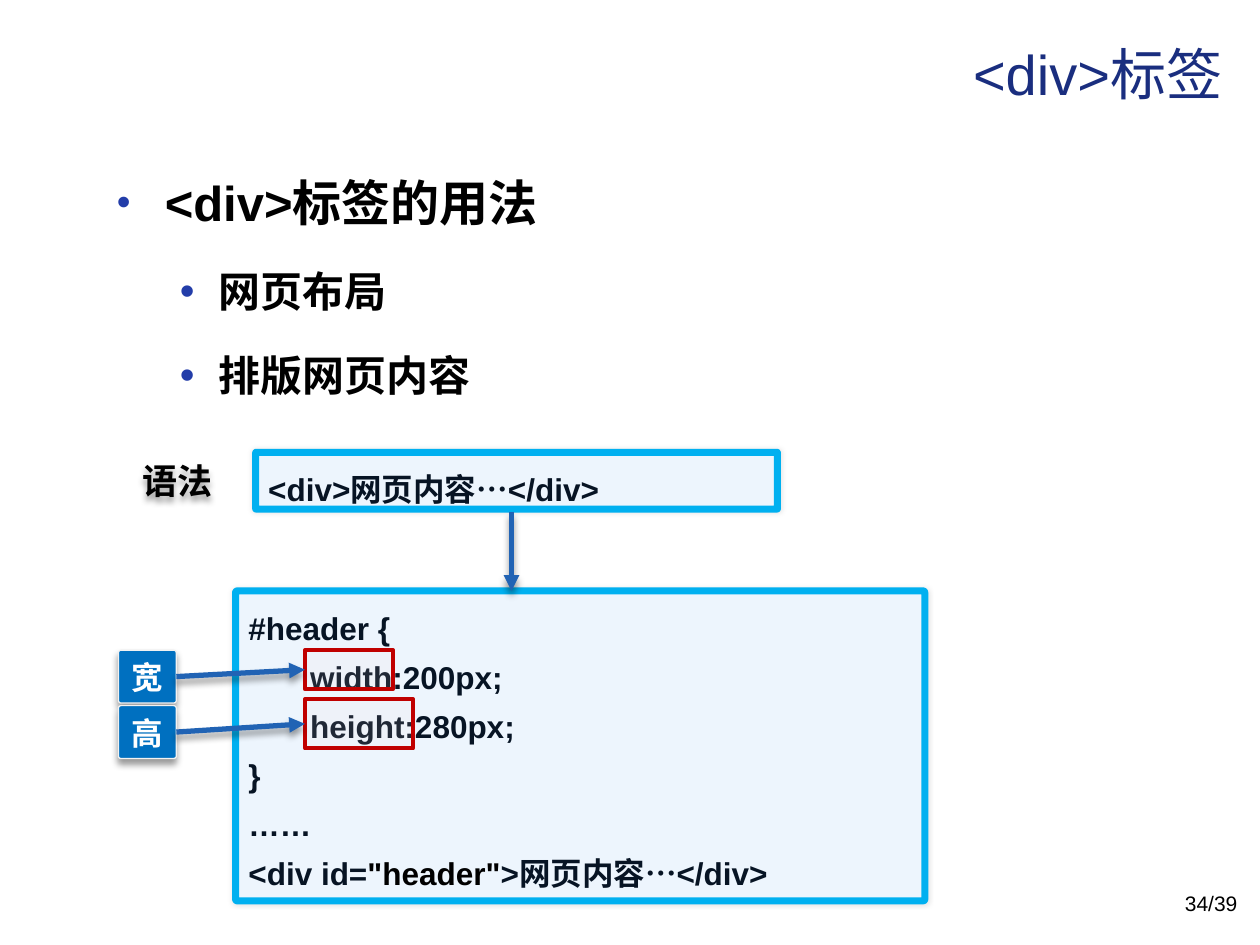
from dataclasses import dataclass

from lxml.etree import SubElement
from pptx import Presentation
from pptx.dml.color import RGBColor
from pptx.enum.shapes import MSO_CONNECTOR, MSO_SHAPE
from pptx.enum.text import MSO_ANCHOR, MSO_AUTO_SIZE, PP_ALIGN
from pptx.oxml.ns import qn
from pptx.util import Inches, Pt

CELL = 0.1  # inches; the slide is a grid of 100 columns by 75 rows


@dataclass(frozen=True)
class Theme:
    font: str = "Arial"
    asian_font: str = "Noto Sans CJK SC"
    title: str = "1A2E7F"
    bullet: str = "233DA9"
    ink: str = "000000"
    code: str = "071424"
    panel: str = "EDF5FD"
    panel_line: str = "00B0F0"
    arrow: str = "2163B4"
    tag: str = "0070C0"
    tag_line: str = "F2F2F2"
    mark: str = "FFDDDD"
    mark_line: str = "C00000"
    white: str = "FFFFFF"
    title_size: float = 32
    topic_size: float = 28
    point_size: float = 24
    label_size: float = 20
    code_size: float = 18
    number_size: float = 12


THEME = Theme()


@dataclass(frozen=True)
class Area:
    """A rectangle in grid cells."""
    left: float
    top: float
    width: float
    height: float

    def inner(self, left, top, width, height):
        return Area(self.left + left, self.top + top, width, height)

    def lengths(self):
        return [cells(n) for n in (self.left, self.top, self.width, self.height)]


def cells(count):
    return Inches(count * CELL)


def colour(code):
    return RGBColor.from_string(code)


def add_child(parent, tag, **attributes):
    return SubElement(parent, qn(tag), {key: str(value) for key, value in attributes.items()})


def add_alpha(fill_element, percent):
    add_child(fill_element.find(".//" + qn("a:srgbClr")), "a:alpha", val=percent * 1000)


def cast_shadow(shape, alpha=40, blur=4, distance=3, angle=90):
    properties = shape._element.spPr
    for old in properties.findall(qn("a:effectLst")):
        properties.remove(old)
    effects = add_child(properties, "a:effectLst")
    shadow = add_child(effects, "a:outerShdw", blurRad=Pt(blur), dist=Pt(distance),
                       dir=angle * 60000, rotWithShape=0)
    add_child(shadow, "a:srgbClr", val=THEME.ink)
    add_alpha(shadow, alpha)


def add_span(para, text, size, ink, bold=True, font=THEME.font):
    span = para.add_run()
    span.text = text
    span.font.name = font
    span.font.size = Pt(size)
    span.font.bold = bold
    span.font.color.rgb = colour(ink)
    add_child(span._r.get_or_add_rPr(), "a:ea", typeface=THEME.asian_font)


def set_frame(shape, anchor=MSO_ANCHOR.TOP, wrap=True):
    frame = shape.text_frame
    frame.auto_size = MSO_AUTO_SIZE.NONE
    frame.word_wrap = wrap
    frame.vertical_anchor = anchor
    return frame


def next_para(frame, index):
    return frame.add_paragraph() if index else frame.paragraphs[0]


def add_text(page, area, text, size, ink, align=PP_ALIGN.LEFT, anchor=MSO_ANCHOR.TOP,
             wrap=True, **style):
    box = page.shapes.add_textbox(*area.lengths())
    para = set_frame(box, anchor, wrap).paragraphs[0]
    para.alignment = align
    add_span(para, text, size, ink, **style)
    return box


def add_block(page, area, kind, fill, line, weight, corner=None):
    block = page.shapes.add_shape(kind, *area.lengths())
    block.shadow.inherit = False
    block.fill.solid()
    block.fill.fore_color.rgb = colour(fill)
    block.line.color.rgb = colour(line)
    block.line.width = Pt(weight)
    if corner is not None:
        block.adjustments[0] = corner
    return block


def add_arrow(page, start=(0, 0), end=(0, 0), joined=None):
    """Draw between two grid points, or from the right side of one shape to the left of another."""
    points = [cells(n) for n in (*start, *end)]
    arrow = page.shapes.add_connector(MSO_CONNECTOR.STRAIGHT, *points)
    if joined:
        source, target = joined
        arrow.begin_connect(source, 3)
        arrow.end_connect(target, 1)
    arrow.line.color.rgb = colour(THEME.arrow)
    arrow.line.width = Pt(3)
    add_child(arrow._element.spPr.find(qn("a:ln")), "a:tailEnd", type="triangle")
    cast_shadow(arrow)


def add_bullets(page, area, items):
    """Write (text, level) items as a bulleted list."""
    styles = [(0.38, 0.38, 80, THEME.topic_size), (0.81, 0.31, 100, THEME.point_size)]
    frame = set_frame(page.shapes.add_textbox(*area.lengths()))
    for index, (text, level) in enumerate(items):
        margin, hanging, bullet_scale, size = styles[level]
        para = next_para(frame, index)
        para.level = level
        para.line_spacing = 1.5
        if index:
            para.space_before = Pt(size * 0.2)
        properties = para._p.get_or_add_pPr()
        properties.set("marL", str(Inches(margin)))
        properties.set("indent", str(-Inches(hanging)))
        add_child(add_child(properties, "a:buClr"), "a:srgbClr", val=THEME.bullet)
        add_child(properties, "a:buSzPct", val=bullet_scale * 1000)
        add_child(properties, "a:buFont", typeface=THEME.font)
        add_child(properties, "a:buChar", char="•")
        add_span(para, text, size, THEME.ink)


def add_code(page, area, lines):
    """Show code lines, each a list of (text, colour) spans, in a panel."""
    panel = add_block(page, area, MSO_SHAPE.ROUNDED_RECTANGLE, THEME.panel,
                      THEME.panel_line, 4, 0.005)
    cast_shadow(panel, alpha=10, blur=3, distance=0, angle=0)
    frame = set_frame(panel)
    for index, spans in enumerate(lines):
        para = next_para(frame, index)
        para.alignment = PP_ALIGN.LEFT
        para.line_spacing = 1.3
        tabs = add_child(para._p.get_or_add_pPr(), "a:tabLst")
        add_child(tabs, "a:tab", pos=Inches(0.49), algn="l")
        for text, ink in spans:
            add_span(para, text, THEME.code_size, ink)


def add_tag(page, area, text):
    tag = add_block(page, area, MSO_SHAPE.ROUNDED_RECTANGLE, THEME.tag, THEME.tag_line, 0.75, 0.05)
    cast_shadow(tag)
    para = set_frame(tag, MSO_ANCHOR.BOTTOM, wrap=False).paragraphs[0]
    para.alignment = PP_ALIGN.CENTER
    add_span(para, text, THEME.code_size, THEME.white)
    return tag


def add_syntax(page, area):
    label = add_text(page, area.inner(0.9, 0, 7.7, 4.4), "语法", THEME.label_size, THEME.ink,
                     anchor=MSO_ANCHOR.MIDDLE, wrap=False, font=THEME.asian_font)
    cast_shadow(label)
    add_code(page, area.inner(10.9, 0, 41.4, 4.5), [[("<div>网页内容…</div>", THEME.code)]])


def add_example(page, area):
    plain = ["#header {", "\twidth:200px;", "\theight:280px;", "}", "……"]
    lines = [[(text, THEME.code)] for text in plain]
    lines.append([("<div id=", THEME.code), ('"header"', THEME.ink),
                  (">网页内容…</div>", THEME.code)])
    add_code(page, area.inner(9.3, 0, 54.7, 24.6), lines)
    rows = [("宽", 4.7, 4.7, 7, 3.1), ("高", 9.1, 8.6, 8.6, 3.9)]
    for text, tag_top, mark_top, mark_width, mark_height in rows:
        mark = add_block(page, area.inner(14.8, mark_top, mark_width, mark_height),
                         MSO_SHAPE.RECTANGLE, THEME.mark, THEME.mark_line, 2.25)
        add_alpha(mark._element.spPr.find(qn("a:solidFill")), 10)
        tag = add_tag(page, area.inner(0, tag_top, 4.6, 4.2), text)
        add_arrow(page, joined=(tag, mark))


def main():
    deck = Presentation()
    deck.slide_width, deck.slide_height = cells(100), cells(75)
    page = deck.slides.add_slide(deck.slide_layouts[6])
    add_text(page, Area(8, 0.9, 90, 9.8), "<div>标签", THEME.title_size, THEME.title,
             align=PP_ALIGN.RIGHT, anchor=MSO_ANCHOR.MIDDLE, bold=False)
    add_bullets(page, Area(8.3, 10.9, 86.7, 23.4),
                [("<div>标签的用法", 0), ("网页布局", 1), ("排版网页内容", 1)])
    add_syntax(page, Area(9.4, 35.9, 52.3, 4.5))
    add_example(page, Area(9.4, 46.9, 64, 24.6))
    add_arrow(page, (40.6, 40.6), (40.6, 46.9))
    add_text(page, Area(75.9, 70.2, 23.3, 4), "34/39", THEME.number_size, THEME.ink,
             align=PP_ALIGN.RIGHT, bold=False)
    deck.save("out.pptx")


if __name__ == "__main__":
    main()
